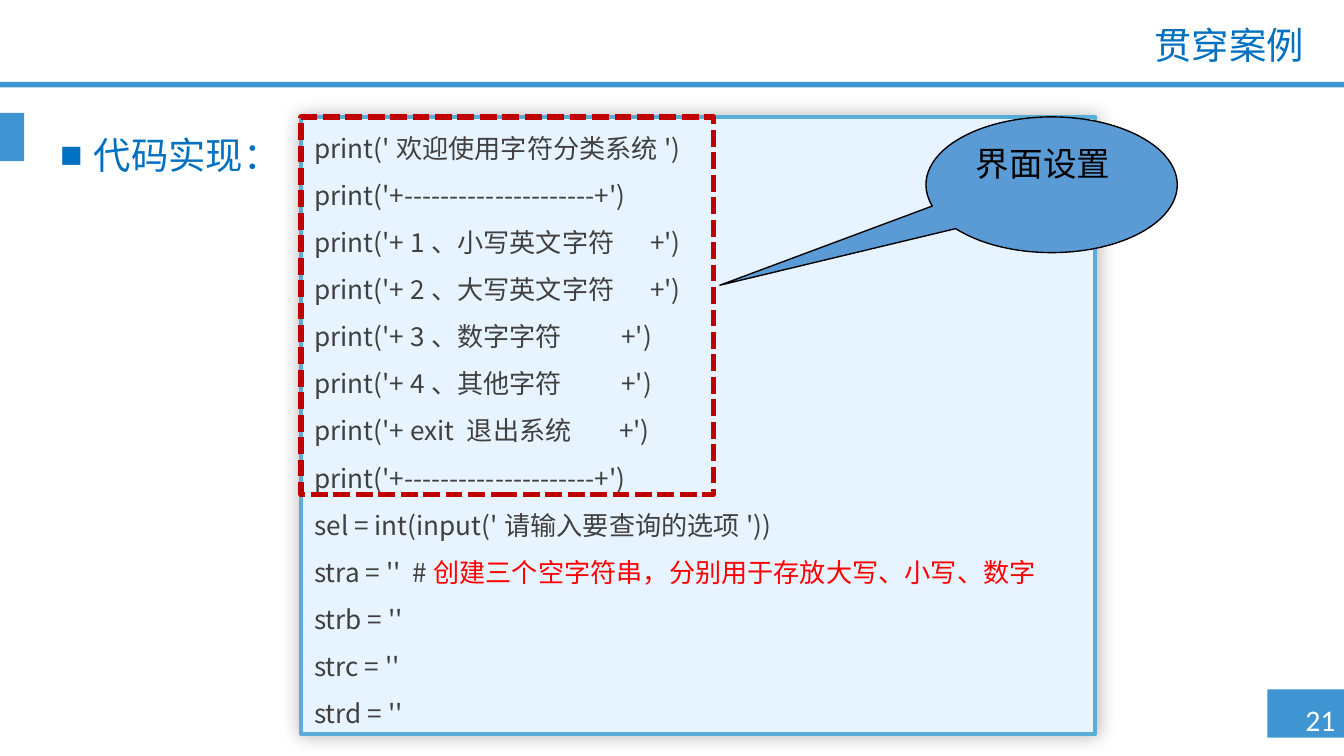
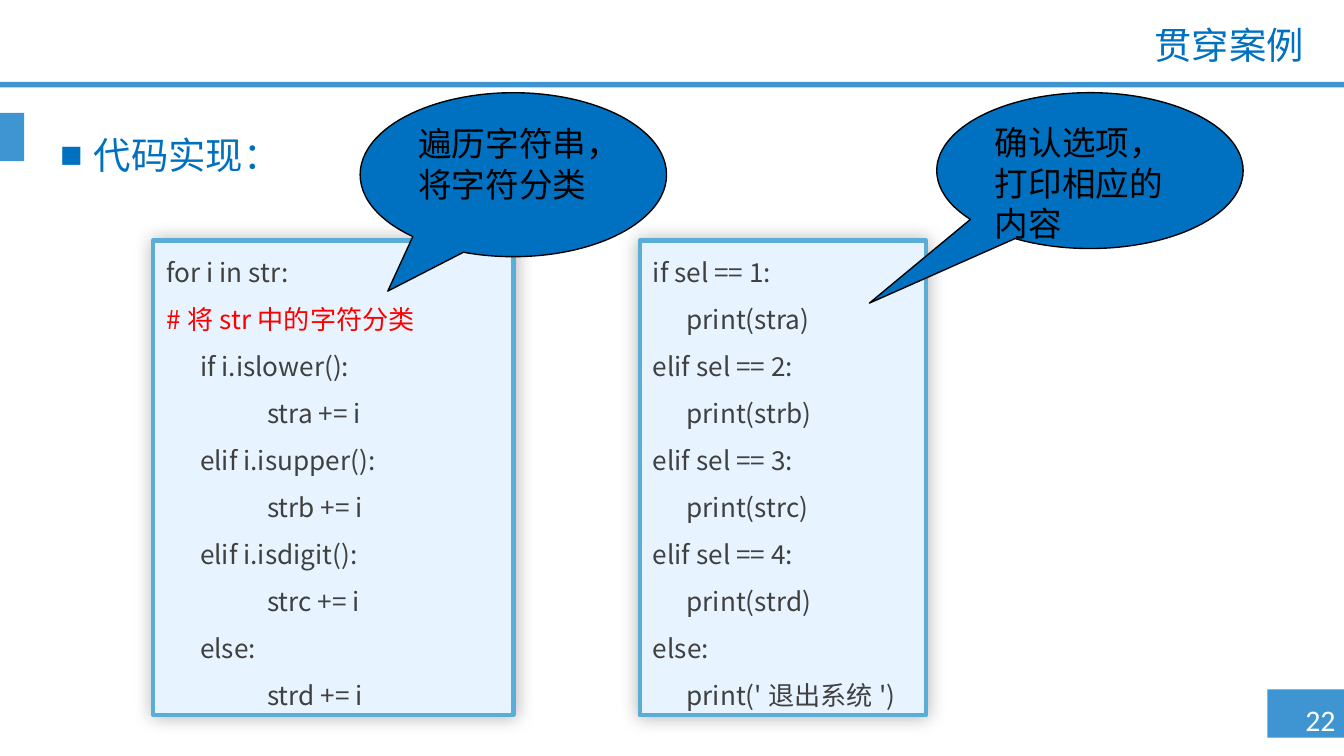
from dataclasses import dataclass

from lxml import etree
from pptx import Presentation
from pptx.dml.color import RGBColor
from pptx.enum.dml import MSO_LINE
from pptx.enum.shapes import MSO_SHAPE as Shape
from pptx.enum.text import MSO_ANCHOR as Anchor, PP_ALIGN as Align
from pptx.oxml.ns import qn
from pptx.util import Pt

EMU_PER_PX = 9144  # 100 px to the inch


@dataclass(frozen=True)
class Theme:
    font: str = "Noto Sans CJK SC"
    callout_font: str = "Arial"
    bullet_font: str = "Arial"
    number_font: str = "Calibri"
    heading_size: int = 20
    callout_size: int = 18
    number_size: int = 16
    code_size: int = 14
    band: str = "3F95D2"
    heading: str = "0070C0"
    panel: str = "E7F4FF"
    panel_line: str = "5AADD6"
    code: str = "404040"
    comment: str = "FF0000"
    frame: str = "C00000"
    light_callout: str = "5B9BD5"
    deep_callout: str = "0070C0"
    black: str = "000000"
    white: str = "FFFFFF"


def px(length):
    return length * EMU_PER_PX


def add_element(parent, tag, **attributes):
    values = {name: str(value) for name, value in attributes.items()}
    return etree.SubElement(parent, qn(tab_free(tag)), values)


def tab_free(tag):
    return tag.strip()


class Deck:
    def __init__(self, theme):
        self.theme = theme
        self.presentation = Presentation()
        self.presentation.slide_width = px(1000)
        self.presentation.slide_height = px(1000) * 9 // 16
        self.slide = None

    def new_slide(self, number, title, heading):
        theme = self.theme
        layout = self.presentation.slide_layouts[6]
        self.slide = self.presentation.slides.add_slide(layout)
        # Bands: page number, title rule, heading marker
        for box in ((943, 513, 57, 36), (0, 61, 1000, 4), (0, 84, 18, 36)):
            self.shape(Shape.RECTANGLE, box, fill=theme.band)
        # Page number
        paragraph = self.text((959, 517, 52, 37), f"{number} ", wrap=False)
        paragraph.alignment = Align.CENTER
        self.style(paragraph, theme.number_font, theme.number_size, theme.white)
        # Title
        paragraph = self.text((240, 15, 740, 40), title, anchor=Anchor.MIDDLE)
        paragraph.alignment = Align.RIGHT
        paragraph.line_spacing = 0.9
        self.style(paragraph, theme.font, theme.heading_size, theme.heading)
        # Bulleted heading
        paragraph = self.text((35, 92, 913, 70), heading)
        paragraph.line_spacing = Pt(25)
        properties = self.hang(paragraph)
        colour = add_element(properties, "a:buClr")
        add_element(colour, "a:srgbClr", val=theme.heading)
        add_element(properties, "a:buFont", typeface=theme.bullet_font)
        add_element(properties, "a:buChar", char="■")
        self.style(paragraph, theme.font, theme.heading_size, theme.heading)

    def hang(self, paragraph):
        properties = paragraph._p.get_or_add_pPr()
        properties.set("marL", str(px(25)))
        properties.set("indent", str(px(-25)))
        return properties

    def style(self, paragraph, name, size, colour):
        font = paragraph.font
        font.name = name
        font.size = Pt(size)
        font.color.rgb = RGBColor.from_string(colour)
        defaults = paragraph._p.pPr.find(qn("a:defRPr"))
        add_element(defaults, "a:ea", typeface=self.theme.font)

    def text(self, box, text, wrap=True, anchor=Anchor.TOP):
        frame = self.slide.shapes.add_textbox(*map(px, box)).text_frame
        frame.word_wrap = wrap
        frame.vertical_anchor = anchor
        paragraph = frame.paragraphs[0]
        paragraph.text = text
        return paragraph

    def shape(self, kind, box, fill=None, line=None, width=0.75):
        shape = self.slide.shapes.add_shape(kind, *map(px, box))
        shape.shadow.inherit = False
        if fill:
            shape.fill.solid()
            shape.fill.fore_color.rgb = RGBColor.from_string(fill)
        else:
            shape.fill.background()
        if line:
            shape.line.color.rgb = RGBColor.from_string(line)
            shape.line.width = Pt(width)
        else:
            shape.line.fill.background()
        return shape

    def dashed_frame(self, box):
        frame = self.shape(Shape.RECTANGLE, box, line=self.theme.frame, width=3)
        frame.line.dash_style = MSO_LINE.SQUARE_DOT

    def code_panel(self, box, lines):
        """Each line is plain code, or a pair of code and comment."""
        theme = self.theme
        panel = self.shape(Shape.ROUNDED_RECTANGLE, box, theme.panel,
                           theme.panel_line, 2.25)
        panel.adjustments[0] = 0
        # Soft shadow
        effects = panel._element.spPr.find(qn("a:effectLst"))
        shadow = add_element(effects, "a:outerShdw", blurRad=Pt(10), dist=0,
                             dir=0, algn="ctr", rotWithShape=0)
        colour = add_element(shadow, "a:srgbClr", val=theme.black)
        add_element(colour, "a:alpha", val=30000)
        # Code lines
        frame = panel.text_frame
        frame.word_wrap = True
        frame.vertical_anchor = Anchor.TOP
        frame.margin_top = frame.margin_bottom = 0
        for index, line in enumerate(lines):
            code, comment = (line, "") if isinstance(line, str) else line
            paragraph = frame.add_paragraph() if index else frame.paragraphs[0]
            paragraph.alignment = Align.LEFT
            paragraph.line_spacing = 1.5
            tabs = add_element(self.hang(paragraph), "a:tabLst")
            add_element(tabs, "a:tab", pos=px(41), algn="l")
            self.style(paragraph, theme.font, theme.code_size,
                       theme.code if code else theme.comment)
            if code:
                paragraph.add_run().text = code
            if comment:
                run = paragraph.add_run()
                run.text = comment
                run.font.color.rgb = RGBColor.from_string(theme.comment)

    def callout(self, box, tip, text, fill):
        theme = self.theme
        callout = self.shape(Shape.OVAL_CALLOUT, box, fill, theme.black)
        callout.adjustments[0], callout.adjustments[1] = tip
        frame = callout.text_frame
        frame.word_wrap = True
        frame.vertical_anchor = Anchor.TOP
        paragraph = frame.paragraphs[0]
        paragraph.text = text
        paragraph.alignment = Align.LEFT
        self.style(paragraph, theme.callout_font, theme.callout_size, theme.black)


MENU_RULE = "print('+---------------------+')"
MENU_CODE = [
    "print('欢迎使用字符分类系统')",
    MENU_RULE,
    "print('+ 1、小写英文字符     +')",
    "print('+ 2、大写英文字符     +')",
    "print('+ 3、数字字符         +')",
    "print('+ 4、其他字符         +')",
    "print('+ exit 退出系统       +')",
    MENU_RULE,
    "sel = int(input('请输入要查询的选项'))",
    ("stra = ''  #", "创建三个空字符串，分别用于存放大写、小写、数字"),
    "strb = ''",
    "strc = ''",
    "strd = ''",
]
CLASSIFY_CODE = [
    "for i in str:",
    ("", "#将str中的字符分类"),
    "\tif i.islower():",
    "\t\tstra += i",
    "\telif i.isupper():",
    "\t\tstrb += i",
    "\telif i.isdigit():",
    "\t\tstrc += i",
    "\telse:",
    "\t\tstrd += i",
]
OUTPUT_CODE = [
    "if sel == 1:",
    "\tprint(stra)",
    "elif sel == 2:",
    "\tprint(strb)",
    "elif sel == 3:",
    "\tprint(strc)",
    "elif sel == 4:",
    "\tprint(strd)",
    "else:",
    "\tprint('退出系统')",
]


def main():
    theme = Theme()
    deck = Deck(theme)
    title, heading = "贯穿案例", "代码实现："

    # Menu and input
    deck.new_slide(21, title, heading)
    deck.code_panel((224, 87, 591, 459), MENU_CODE)
    deck.dashed_frame((224, 87, 307, 281))
    deck.callout((689, 87, 187, 101), (-1.32, 0.74), "界面设置",
                 theme.light_callout)

    # Classification and output
    deck.new_slide(22, title, heading)
    deck.code_panel((114, 179, 268, 353), CLASSIFY_CODE)
    deck.code_panel((476, 179, 213, 353), OUTPUT_CODE)
    deck.callout((268, 69, 228, 122), (-0.41, 0.71),
                 "遍历字符串，将字符分类", theme.deep_callout)
    deck.callout((697, 69, 228, 116), (-0.72, 0.85),
                 "确认选项，打印相应的内容", theme.deep_callout)

    deck.presentation.save("out.pptx")


if __name__ == "__main__":
    main()
